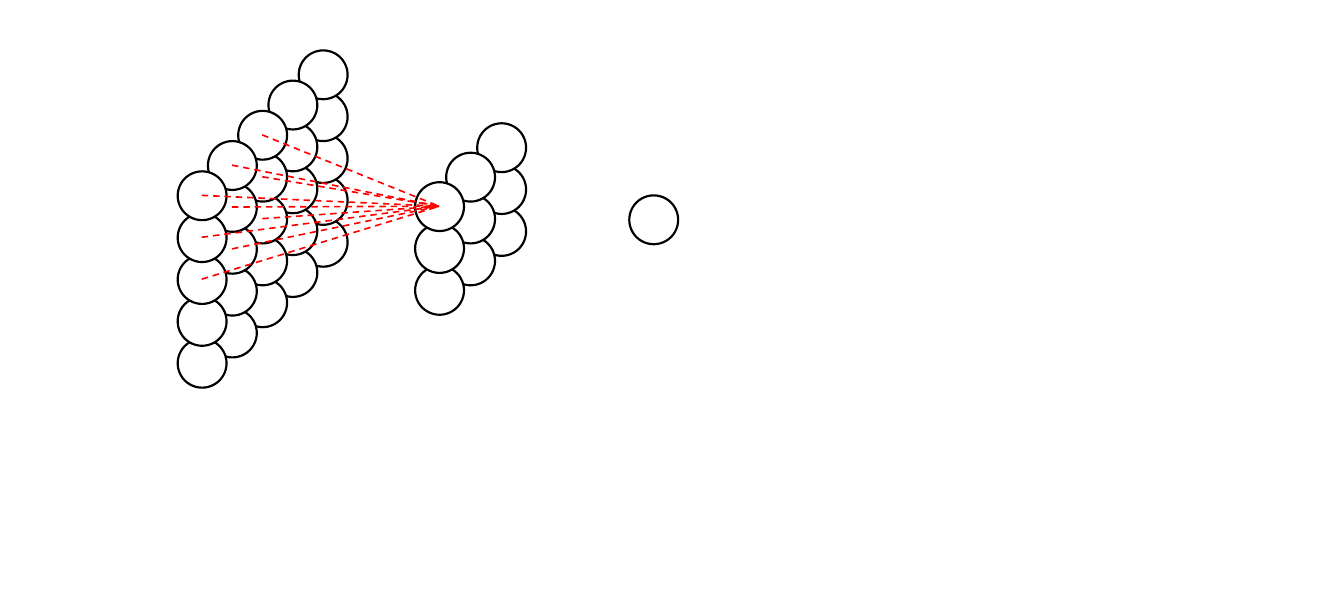
from dataclasses import dataclass

from lxml.etree import SubElement
from pptx import Presentation
from pptx.dml.color import RGBColor
from pptx.enum.dml import MSO_LINE_DASH_STYLE as Dash
from pptx.enum.shapes import MSO_CONNECTOR as Connector, MSO_SHAPE as Shape
from pptx.oxml.ns import qn
from pptx.slide import Slide
from pptx.util import Emu, Pt

PX = 9144  # EMU per px, 100 px to the inch


def px(n: int) -> Emu:
    return Emu(n * PX)


@dataclass(frozen=True)
class Theme:
    neuron_fill: RGBColor = RGBColor(0xFF, 0xFF, 0xFF)
    neuron_line: RGBColor = RGBColor(0x00, 0x00, 0x00)
    link: RGBColor = RGBColor(0xFF, 0x00, 0x00)
    neuron_width: Pt = Pt(2)
    link_width: Pt = Pt(1.5)


@dataclass(frozen=True)
class Layer:
    """Square sheet of neurons; column 0 is nearest, later ones recede up and right."""
    left: int
    top: int
    size: int
    dx: int = 0
    rise: int = 0

    def corner(self, col: int, row: int) -> tuple[int, int]:
        return self.left + col * self.dx, self.top - col * self.rise + row * ROW_GAP

    def center(self, col: int, row: int) -> tuple[int, int]:
        x, y = self.corner(col, row)
        return x + DIAMETER // 2, y + DIAMETER // 2


THEME = Theme()
DIAMETER = 63
ROW_GAP = 54
KERNEL = 3
INPUT = Layer(229, 221, 5, 39, 39)
HIDDEN = Layer(535, 235, 3, 40, 38)
OUTPUT = Layer(811, 252, 1)


def add_neuron(s: Slide, x: int, y: int) -> None:
    sp = s.shapes.add_shape(Shape.OVAL, px(x), px(y), px(DIAMETER), px(DIAMETER))
    sp.shadow.inherit = False
    sp.fill.solid()
    sp.fill.fore_color.rgb = THEME.neuron_fill
    sp.line.color.rgb = THEME.neuron_line
    sp.line.width = THEME.neuron_width


def add_layer(s: Slide, layer: Layer) -> None:
    # Far columns first, and each column from the bottom up
    for col in reversed(range(layer.size)):
        for row in reversed(range(layer.size)):
            add_neuron(s, *layer.corner(col, row))


def add_link(s: Slide, start: tuple[int, int], end: tuple[int, int]) -> None:
    points = [px(n) for n in start + end]
    cx = s.shapes.add_connector(Connector.STRAIGHT, *points)
    cx.line.color.rgb = THEME.link
    cx.line.width = THEME.link_width
    cx.line.dash_style = Dash.DASH
    SubElement(cx._element.spPr, qn("a:effectLst"))


def main() -> None:
    prs = Presentation()
    prs.slide_width, prs.slide_height = px(1732), px(788)
    s = prs.slides.add_slide(prs.slide_layouts[6])

    # Neuron layers
    for layer in (INPUT, HIDDEN, OUTPUT):
        add_layer(s, layer)

    # Receptive field feeding the nearest top hidden neuron
    for row in range(KERNEL):
        for col in range(KERNEL):
            add_link(s, INPUT.center(col, row), HIDDEN.center(0, 0))

    prs.save("out.pptx")


if __name__ == "__main__":
    main()
